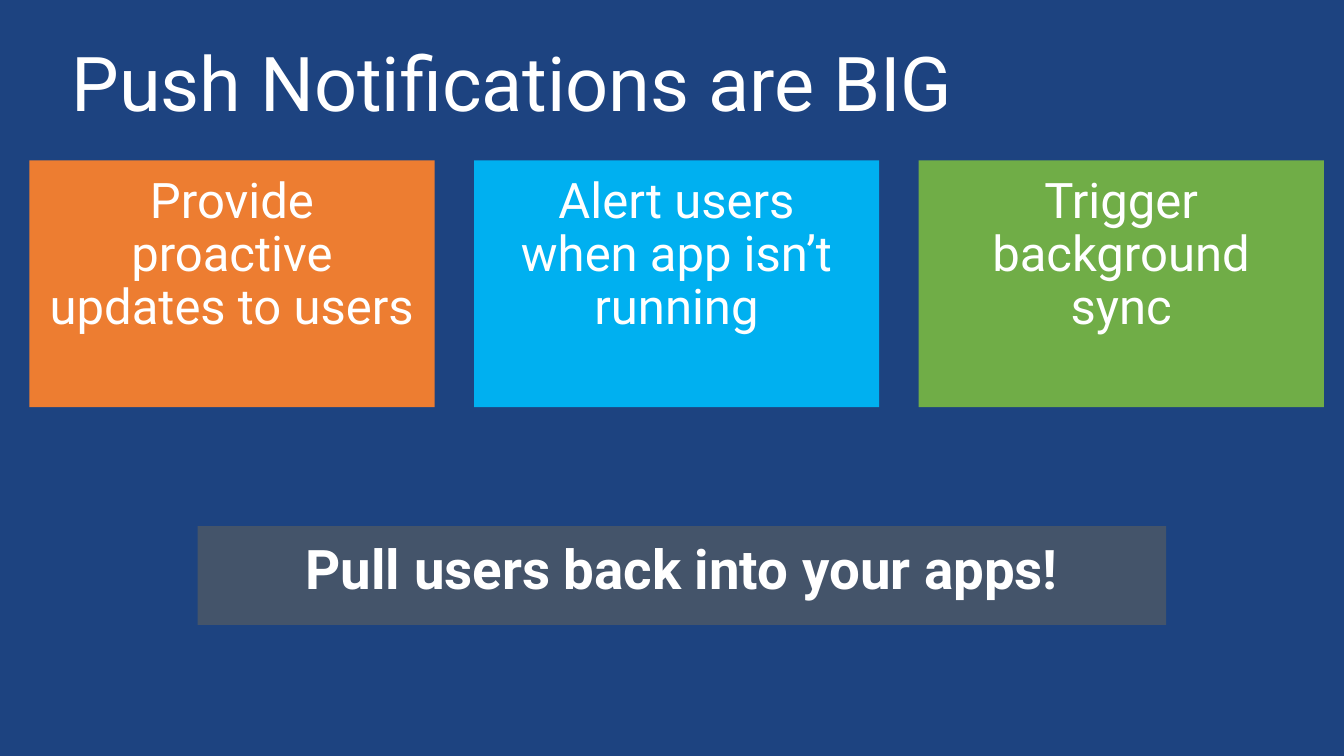
import pptx
import pptx.util
import pptx.dml.color
import pptx.enum.shapes
import pptx.enum.text

Pt = pptx.util.Pt
Align = pptx.enum.text.PP_ALIGN

# Content
TITLE = "Push Notifications are BIG"
BENEFITS = [
    ("Provide proactive updates to users", "orange"),
    ("Alert users when app isn\u2019t running", "sky"),
    ("Trigger background sync", "green"),
]
CONCLUSION = "Pull users back into your apps!"

COLORS = {
    "background": "1D4380",
    "orange": "ED7D31",
    "sky": "00B0F0",
    "green": "70AD47",
    "slate": "44546A",
    "white": "FFFFFF",
}
FONT = "Roboto"

# Layout in points
CARD_LEFT, CARD_TOP = 21, 114.5
CARD_WIDTH, CARD_HEIGHT = 289.4, 176.4
CARD_GAP = 28.2


def color(name):
    return pptx.dml.color.RGBColor.from_string(COLORS[name])


def add_text(slide, text, box, size, fill=None, bold=False,
             align=Align.CENTER, insets=(14.4, 11.5)):
    """Add a text box, or a filled rectangle when a fill is named."""
    bounds = [Pt(length) for length in box]
    if fill:
        shape = slide.shapes.add_shape(
            pptx.enum.shapes.MSO_SHAPE.RECTANGLE, *bounds)
        shape.shadow.inherit = False
        shape.fill.solid()
        shape.fill.fore_color.rgb = color(fill)
        shape.line.fill.background()
    else:
        shape = slide.shapes.add_textbox(*bounds)
    frame = shape.text_frame
    frame.word_wrap = True
    frame.vertical_anchor = pptx.enum.text.MSO_ANCHOR.TOP
    frame.margin_left = frame.margin_right = Pt(insets[0])
    frame.margin_top = frame.margin_bottom = Pt(insets[1])
    paragraph = frame.paragraphs[0]
    paragraph.alignment = align
    paragraph.line_spacing = 0.9
    run = paragraph.add_run()
    run.text = text
    run.font.name = FONT
    run.font.size = Pt(size)
    run.font.bold = bold
    run.font.color.rgb = color("white")


# Slide
presentation = pptx.Presentation()
presentation.slide_width, presentation.slide_height = Pt(960), Pt(540)
slide = presentation.slides.add_slide(presentation.slide_layouts[6])
slide.background.fill.solid()
slide.background.fill.fore_color.rgb = color("background")

# Title
add_text(slide, TITLE, (44, 26.6, 872.6, 75.6), 54,
         align=Align.LEFT, insets=(7.2, 6.5))

# Benefit cards
for index, (benefit, fill) in enumerate(BENEFITS):
    left = CARD_LEFT + index * (CARD_WIDTH + CARD_GAP)
    add_text(slide, benefit, (left, CARD_TOP, CARD_WIDTH, CARD_HEIGHT), 35,
             fill=fill)

# Conclusion banner
add_text(slide, CONCLUSION, (141.1, 375.8, 691.9, 70.6), 39,
         fill="slate", bold=True)

presentation.save("out.pptx")
